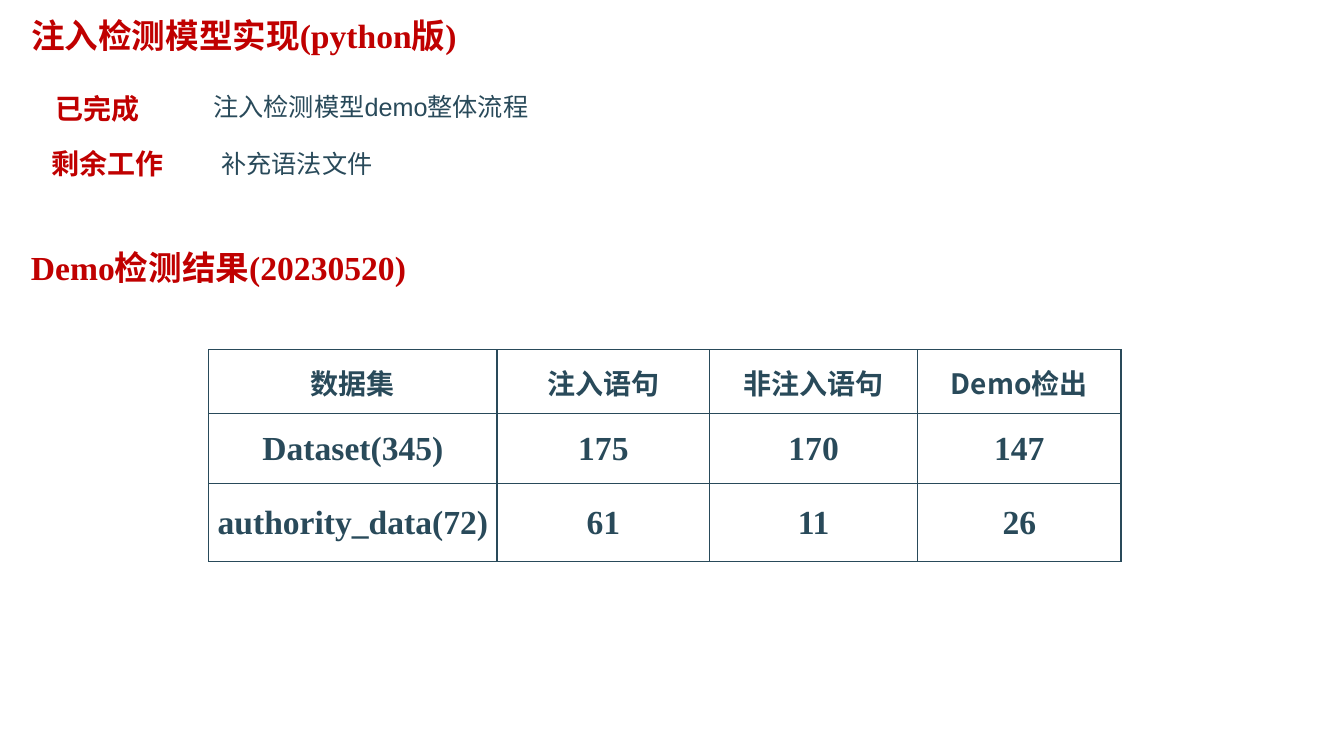
from dataclasses import dataclass

from lxml.etree import SubElement
from pptx import Presentation
from pptx.dml.color import RGBColor
from pptx.enum.text import MSO_ANCHOR as Anchor, MSO_AUTO_SIZE as AutoSize, PP_ALIGN as Align
from pptx.oxml.ns import qn
from pptx.table import _Cell as Cell
from pptx.text.text import TextFrame
from pptx.util import Cm, Pt

COLORS = {"heading": "C00000", "ink": "294A5A", "paper": "FFFFFF"}
SERIF, SANS, CJK = "Times New Roman", "Arial", "Noto Sans CJK SC"


@dataclass
class Label:
    text: str
    left: float
    top: float
    width: float
    height: float
    size: int
    color: str = "heading"
    font: str = SERIF
    bold: bool = True


TITLE = Label("注入检测模型实现(python版)", 0.53, 0.25, 16.94, 1.27, 24)
LABELS = [
    Label("已完成", 1.14, 2.18, 3.81, 1.12, 20),
    Label("注入检测模型demo整体流程", 5.13, 2.18, 22.58, 1.02, 18, "ink", SANS, False),
    Label("剩余工作", 1.04, 3.56, 3.81, 1.12, 20),
    Label("补充语法文件", 5.33, 3.61, 22.58, 1.02, 18, "ink", SANS, False),
    Label("Demo检测结果(20230520)", 0.53, 6.1, 12.8, 1.27, 24),
]

RESULTS = [
    ("数据集", "注入语句", "非注入语句", "Demo检出"),
    ("Dataset(345)", "175", "170", "147"),
    ("authority_data(72)", "61", "11", "26"),
]
COLUMN_WIDTHS = (7.27, 5.36, 5.24, 5.13)
ROW_HEIGHTS = (1.6, 1.78, 1.96)


def write(frame: TextFrame, text: str, *, size: int, color: str, font: str,
          bold: bool = True, align: Align = Align.LEFT) -> None:
    """Put one formatted paragraph into a text frame."""
    paragraph = frame.paragraphs[0]
    paragraph.alignment = align
    run = paragraph.add_run()
    run.text = text
    run.font.size = Pt(size)
    run.font.bold = bold
    run.font.name = font
    run.font.color.rgb = RGBColor.from_string(COLORS[color])
    SubElement(run.font._element, qn("a:ea"), typeface=CJK)


def place(shape, label: Label) -> None:
    """Position a title or text box and fill in its label."""
    shape.left, shape.top = Cm(label.left), Cm(label.top)
    shape.width, shape.height = Cm(label.width), Cm(label.height)
    frame = shape.text_frame
    frame.word_wrap = True
    frame.auto_size = AutoSize.SHAPE_TO_FIT_TEXT
    frame.vertical_anchor = Anchor.TOP
    write(frame, label.text, size=label.size, color=label.color,
          font=label.font, bold=label.bold)


def style_cell(cell: Cell) -> None:
    """Give a cell thin borders, a plain fill and tight margins."""
    properties = cell._tc.get_or_add_tcPr()
    for side in ("lnL", "lnR", "lnT", "lnB"):
        border = SubElement(properties, qn(f"a:{side}"), w=str(Pt(1)))
        SubElement(SubElement(border, qn("a:solidFill")), qn("a:srgbClr"), val=COLORS["ink"])
    cell.fill.solid()
    cell.fill.fore_color.rgb = RGBColor.from_string(COLORS["paper"])
    cell.vertical_anchor = Anchor.MIDDLE
    cell.margin_left = cell.margin_right = cell.margin_top = Cm(0.03)
    cell.margin_bottom = 0


def add_results(slide) -> None:
    """Draw the table of detection results."""
    table = slide.shapes.add_table(
        len(RESULTS), len(COLUMN_WIDTHS), Cm(5.26), Cm(8.81),
        Cm(sum(COLUMN_WIDTHS)), Cm(sum(ROW_HEIGHTS))).table
    table.horz_banding = False
    for column, width in zip(table.columns, COLUMN_WIDTHS):
        column.width = Cm(width)
    for r, (values, height) in enumerate(zip(RESULTS, ROW_HEIGHTS)):
        table.rows[r].height = Cm(height)
        size, font = (24, SERIF) if r else (20, CJK)
        for c, value in enumerate(values):
            cell = table.cell(r, c)
            style_cell(cell)
            write(cell.text_frame, value, size=size, color="ink", font=font,
                  align=Align.CENTER)


def main() -> None:
    deck = Presentation()
    deck.slide_width, deck.slide_height = Cm(33.88), Cm(19.05)
    slide = deck.slides.add_slide(deck.slide_layouts[5])

    # Title and section labels
    place(slide.shapes.title, TITLE)
    for label in LABELS:
        place(slide.shapes.add_textbox(0, 0, 0, 0), label)

    # Detection results
    add_results(slide)
    deck.save("out.pptx")


if __name__ == "__main__":
    main()
